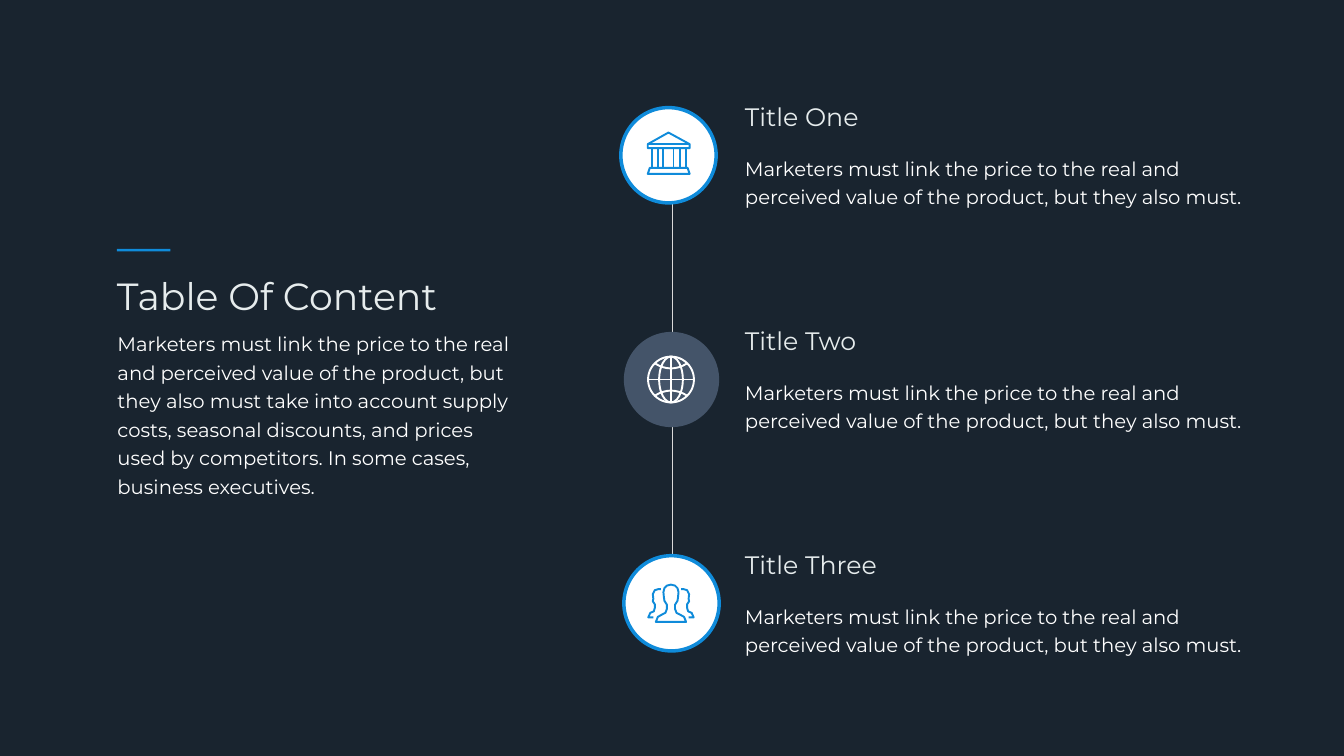
from lxml import etree
from pptx import Presentation
from pptx.dml.color import RGBColor
from pptx.enum.shapes import MSO_CONNECTOR, MSO_SHAPE
from pptx.enum.text import MSO_ANCHOR, MSO_AUTO_SIZE, PP_ALIGN
from pptx.oxml.ns import qn
from pptx.util import Inches, Pt

STRAIGHT = MSO_CONNECTOR.STRAIGHT
OVAL, RECTANGLE = MSO_SHAPE.OVAL, MSO_SHAPE.RECTANGLE
TOP, LEFT, NO_AUTOFIT = MSO_ANCHOR.TOP, PP_ALIGN.LEFT, MSO_AUTO_SIZE.NONE

HEX = {"night": "19242F", "blue": "0F8BDA", "slate": "445469",
       "white": "FFFFFF", "mist": "E6ECED", "rail": "D9D9D9"}
COLORS = {name: RGBColor.from_string(value) for name, value in HEX.items()}
ICON_STROKE = 2.75

prs = Presentation()
prs.slide_width, prs.slide_height = Inches(26.66), Inches(15)
slide = prs.slides.add_slide(prs.slide_layouts[1])
slide.background.fill.solid()
slide.background.fill.fore_color.rgb = COLORS["night"]
shapes = slide.shapes


def trace(contours, color):
    """Draw one unfilled icon from contours of points given in inches."""
    builder = None
    for points in contours:
        corners = [(Inches(x), Inches(y)) for x, y in points]
        if builder is None:
            builder = shapes.build_freeform(*corners[0])
        else:
            builder.move_to(*corners[0])
        builder.add_line_segments(corners[1:], close=False)
    icon = builder.convert_to_shape()
    icon.fill.background()
    icon.line.color.rgb = COLORS[color]
    icon.line.width = Pt(ICON_STROKE)
    icon.shadow.inherit = False


# Text: heading and introduction on the left, three entries on the right
heading, intro = shapes.title, slide.placeholders[1]
intro_text = ("Marketers must link the price to the real and perceived value of the product, "
              "but they also must take into account supply costs, seasonal discounts, and "
              "prices used by competitors. In some cases, business executives.")
entry_text = ("Marketers must link the price to the real and perceived value of the product, "
              "but they also must.")
HEADING = {"size": Pt(54), "color": "mist", "spacing": 1.0}
ENTRY_TITLE = {"size": Pt(36), "color": "mist", "spacing": 1.0}
BODY = {"size": Pt(28), "color": "white", "spacing": Pt(40.8)}

texts = [(heading, (2.22, 5.36, 7, 1.01), (0.1, 0.05), "Table Of Content", HEADING),
         (intro, (2.09, 6.37, 8.25, 3.69), (0.24, 0.12), intro_text, BODY)]
for row, entry_title in enumerate(["Title One", "Title Two", "Title Three"]):
    top = 1.96 + 4.445 * row
    for box, words, style in [((14.68, top, 9.94, 0.71), entry_title, ENTRY_TITLE),
                              ((14.68, top + 1, 10.16, 1.25), entry_text, BODY)]:
        entry = shapes.add_textbox(0, 0, 0, 0)
        texts.append((entry, box, (0.1, 0.05), words, style))

for holder, box, (inset_x, inset_y), words, style in texts:
    holder.left, holder.top, holder.width, holder.height = map(Inches, box)
    frame = holder.text_frame
    frame_format = {"word_wrap": True, "auto_size": NO_AUTOFIT, "vertical_anchor": TOP,
                    "margin_left": Inches(inset_x), "margin_right": Inches(inset_x),
                    "margin_top": Inches(inset_y), "margin_bottom": Inches(inset_y)}
    for attribute, value in frame_format.items():
        setattr(frame, attribute, value)
    frame.text = words
    paragraph = frame.paragraphs[0]
    if holder is intro:
        properties = paragraph._p.get_or_add_pPr()
        properties.set("marL", "0")
        properties.set("indent", "0")
        etree.SubElement(properties, qn("a:buNone"))
    paragraph.alignment = LEFT
    paragraph.space_before = Pt(0)
    paragraph.line_spacing = style["spacing"]
    font = paragraph.runs[0].font
    font.name, font.size = "Montserrat", style["size"]
    font.color.rgb = COLORS[style["color"]]

accent = shapes.add_shape(RECTANGLE, Inches(2.32), Inches(4.94), Inches(1.06), Inches(0.05))
accent.fill.solid()
accent.fill.fore_color.rgb = COLORS["blue"]
accent.line.fill.background()
accent.shadow.inherit = False

# Timeline with its three discs, and the globe's two rings
rail = shapes.add_connector(STRAIGHT, Inches(13.33), Inches(2.96), Inches(13.33), Inches(12.02))
rail.line.color.rgb = COLORS["rail"]
rail.line.width = Pt(0.5)
etree.SubElement(rail._element.spPr, qn("a:effectLst"))

for x, y, width, height, fill, line, weight in [
        (13.26, 3.08, 1.89, 1.89, "white", "blue", 5),
        (13.32, 7.53, 1.89, 1.89, "slate", None, 0),
        (13.32, 11.97, 1.89, 1.89, "white", "blue", 5),
        (13.31, 7.53, 0.91, 0.91, None, "white", ICON_STROKE),
        (13.31, 7.53, 0.47, 0.91, None, "white", ICON_STROKE)]:
    disc = shapes.add_shape(OVAL, Inches(x - width / 2), Inches(y - height / 2),
                            Inches(width), Inches(height))
    disc.shadow.inherit = False
    if fill:
        disc.fill.solid()
        disc.fill.fore_color.rgb = COLORS[fill]
    else:
        disc.fill.background()
    if line:
        disc.line.color.rgb = COLORS[line]
        disc.line.width = Pt(weight)
    else:
        disc.line.fill.background()

# Bank icon: roof and beam, base, columns
roof = [(12.85, 2.94), (12.85, 2.86), (13.26, 2.63), (13.68, 2.86), (13.68, 2.94),
        (12.85, 2.94)]
beam = [(12.85, 2.86), (13.68, 2.86)]
base = [(12.89, 3.33), (13.64, 3.33), (13.68, 3.45), (12.85, 3.45), (12.89, 3.33)]
columns = [[(x, 2.94), (x, 3.33)] for x in (12.93, 13.05, 13.16, 13.36, 13.48, 13.6)]
trace([roof, beam, base] + columns, "blue")

# Globe icon: equator, meridian and two curved parallels
parallels = [[(13.31 + 0.08 * step, 7.53 + side * (0.22 + 0.1 * (step / 4) ** 2))
              for step in range(-4, 5)] for side in (-1, 1)]
trace([[(12.85, 7.53), (13.76, 7.53)], [(13.31, 7.07), (13.31, 7.98)]] + parallels, "white")

# People icon: half outlines as offsets from the axis, mirrored
AXIS = 13.31
front = [(0, 11.6), (0.08, 11.62), (0.13, 11.67), (0.15, 11.75), (0.14, 11.85),
         (0.13, 11.92), (0.08, 12), (0.08, 12.08), (0.11, 12.16), (0.17, 12.19),
         (0.26, 12.24), (0.3, 12.34)]
behind = [(0.2, 11.69), (0.25, 11.69), (0.32, 11.71), (0.36, 11.79), (0.35, 11.88),
          (0.36, 11.93), (0.32, 11.99), (0.32, 12.06), (0.34, 12.13), (0.41, 12.16),
          (0.45, 12.25), (0.35, 12.25)]
person = [(AXIS + x, y) for x, y in front] + [(AXIS - x, y) for x, y in front[::-1]]
trace([person] + [[(AXIS + side * x, y) for x, y in behind] for side in (-1, 1)], "blue")

prs.save("out.pptx")
